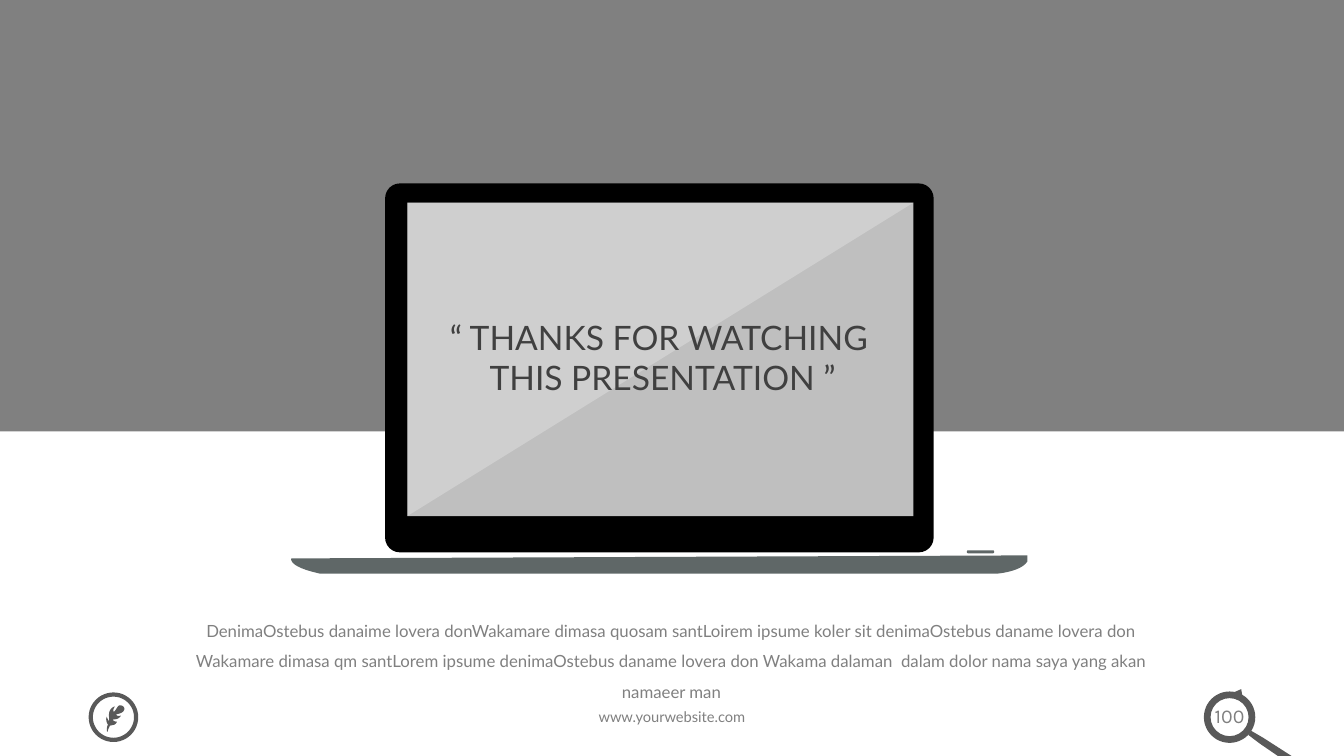
from lxml import etree
from pptx import Presentation
from pptx import util as u
from pptx.dml.color import RGBColor
from pptx.enum import shapes, text
from pptx.oxml import ns

HUES = {"gray": "808080", "black": "000000", "screen": "BFBFBF",
        "base": "5F6767", "white": "FFFFFF", "dark": "404040", "icon": "595959"}
KIND = shapes.MSO_SHAPE
FINE = 100  # drawing steps per hundredth of an inch
BLURB = ("DenimaOstebus danaime lovera donWakamare dimasa quosam santLoirem "
         "ipsume koler sit denimaOstebus daname lovera don Wakamare dimasa qm "
         "santLorem ipsume denimaOstebus daname lovera don Wakama dalaman  dalam "
         "dolor nama saya yang akan namaeer man")

# Outlines in hundredths of an inch: a pair is a corner, six numbers a curve
BASE = [(4, 3), (4, 3, 0, 11, 32, 18), (705, 18),
        (705, 18, 728, 16, 734, 6), (734, 0)]
HANDLE = [(50, 42), (62, 49), (101, 74), (103, 77), (101, 79), (97, 81),
          (59, 55), (47, 46)]
FEATHER = [(2, 25), (2, 24, 3, 22, 4, 20), (7, 19, 9, 20, 11, 16),
           (9, 16, 7, 15, 7, 14), (7, 13, 12, 15, 15, 10),
           (11, 11, 10, 9, 10, 9), (12, 8, 15, 8, 17, 6),
           (18, 5, 19, 3, 18, 2), (18, 1, 15, -1, 13, 0),
           (12, 0, 9, 6, 8, 6), (7, 6, 7, 3, 9, 1), (7, 1, 5, 3, 4, 5),
           (2, 8, 4, 15, 3, 15), (3, 16, 1, 12, 1, 11),
           (0, 13, 0, 15, 2, 19), (1, 21, 1, 23, 1, 25),
           (1, 26, 2, 26, 2, 25)]


def hue(name):
    return RGBColor.from_string(HUES[name])


def paint(shape, name):
    shape.shadow.inherit = False
    shape.fill.solid()
    shape.fill.fore_color.rgb = hue(name)
    shape.line.fill.background()
    return shape


def block(slide, kind, box, name):
    return paint(slide.shapes.add_shape(kind, *map(u.Inches, box)), name)


def trace(steps, count=12):
    """Turn corners and curves into a list of points."""
    dots = [steps[0]]
    for step in steps[1:]:
        if len(step) == 2:
            dots.append(step)
            continue
        nodes = [dots[-1], step[:2], step[2:4], step[4:]]
        for i in range(1, count + 1):
            t = i / count
            parts = ((1 - t) ** 3, 3 * t * (1 - t) ** 2, 3 * t * t * (1 - t), t ** 3)
            dots.append(tuple(sum(p * n[k] for p, n in zip(parts, nodes))
                              for k in (0, 1)))
    return [(x * FINE, y * FINE) for x, y in dots]


def outline(slide, left, top, steps, name):
    dots = trace(steps)
    pen = slide.shapes.build_freeform(*dots[0], scale=u.Inches(0.01) / FINE)
    pen.add_line_segments(dots[1:], close=True)
    return paint(pen.convert_to_shape(u.Inches(left), u.Inches(top)), name)


def write(shape, lines, size, name, face="Lato", space=None):
    frame = shape.text_frame
    frame.word_wrap = True
    frame.auto_size = text.MSO_AUTO_SIZE.NONE
    frame.text = "\n".join(lines)
    for para in frame.paragraphs:
        para.alignment = text.PP_ALIGN.CENTER
        para.line_spacing = space
        para.font.size = u.Pt(size)
        para.font.name = face
        para.font.color.rgb = hue(name)
    return frame


def label(slide, box, line, size, face="Lato", space=None):
    note = slide.shapes.add_textbox(*map(u.Inches, box))
    write(note, [line], size, "gray", face, space)


def laptop(slide, left, top):
    # Lid and screen
    lid = block(slide, KIND.ROUNDED_RECTANGLE, (left + 0.97, top, 5.44, 3.66), "black")
    lid.adjustments[0] = 0.04
    x, y, wide, high = left + 1.19, top + 0.19, 5.02, 3.11
    block(slide, KIND.RECTANGLE, (x, y, wide, high), "screen")
    # Base and button
    outline(slide, left, top + 3.69, BASE, "base")
    key = block(slide, KIND.ROUNDED_RECTANGLE, (left + 6.74, top + 3.64, 0.27, 0.03), "base")
    key.adjustments[0] = 0.4
    # Glare
    edge = [(0, 0), (wide * 100, 0), (0, high * 100)]
    glare = outline(slide, x, y, edge, "white")
    tint = glare.fill._xPr.find(".//" + ns.qn("a:srgbClr"))
    etree.SubElement(tint, ns.qn("a:alpha"), val="25000")


def heading(slide, box):
    title = slide.shapes.title
    title.left, title.top, title.width, title.height = map(u.Inches, box)
    frame = write(title, ["“ THANKS FOR WATCHING", " THIS PRESENTATION ”"], 24, "dark")
    frame.vertical_anchor = text.MSO_ANCHOR.MIDDLE
    title.element.getparent().append(title.element)  # bring to front


def lens(slide, left, top):
    # Page number in a magnifying glass
    label(slide, (left - 0.02, top + 0.1, 0.61, 0.34), "100", 14, "Karla")
    tip = block(slide, KIND.RIGHT_ARROW, (left + 0.32, top, 0.11, 0.11), "icon")
    tip.rotation = 298.7
    tip.adjustments[0], tip.adjustments[1] = 0.32, 0.64
    ring = block(slide, KIND.DONUT, (left + 0.03, top + 0.03, 0.51, 0.51), "icon")
    ring.adjustments[0] = 0.13
    outline(slide, left, top, HANDLE, "icon")


def badge(slide, left, top):
    # Feather in a ring
    ring = block(slide, KIND.OVAL, (left, top, 0.45, 0.45), "white")
    ring.fill.background()
    ring.line.color.rgb = hue("icon")
    ring.line.width = u.Pt(3)
    outline(slide, left + 0.15, top + 0.11, FEATHER, "icon")


def main():
    deck = Presentation()
    deck.slide_width, deck.slide_height = u.Inches(13.33), u.Inches(7.5)
    slide = deck.slides.add_slide(deck.slide_layouts.get_by_name("Title Only"))
    block(slide, KIND.RECTANGLE, (0, 0, 13.33, 4.28), "gray")
    label(slide, (1.66, 6.01, 10, 0.67), BLURB, 12, space=1.5)
    laptop(slide, 2.85, 1.82)
    heading(slide, (2.52, 3.09, 8.03, 0.91))
    label(slide, (4.25, 6.97, 4.83, 0.29), "www.yourwebsite.com", 10.5)
    lens(slide, 11.91, 6.83)
    badge(slide, 0.9, 6.89)
    deck.save("out.pptx")


if __name__ == "__main__":
    main()
